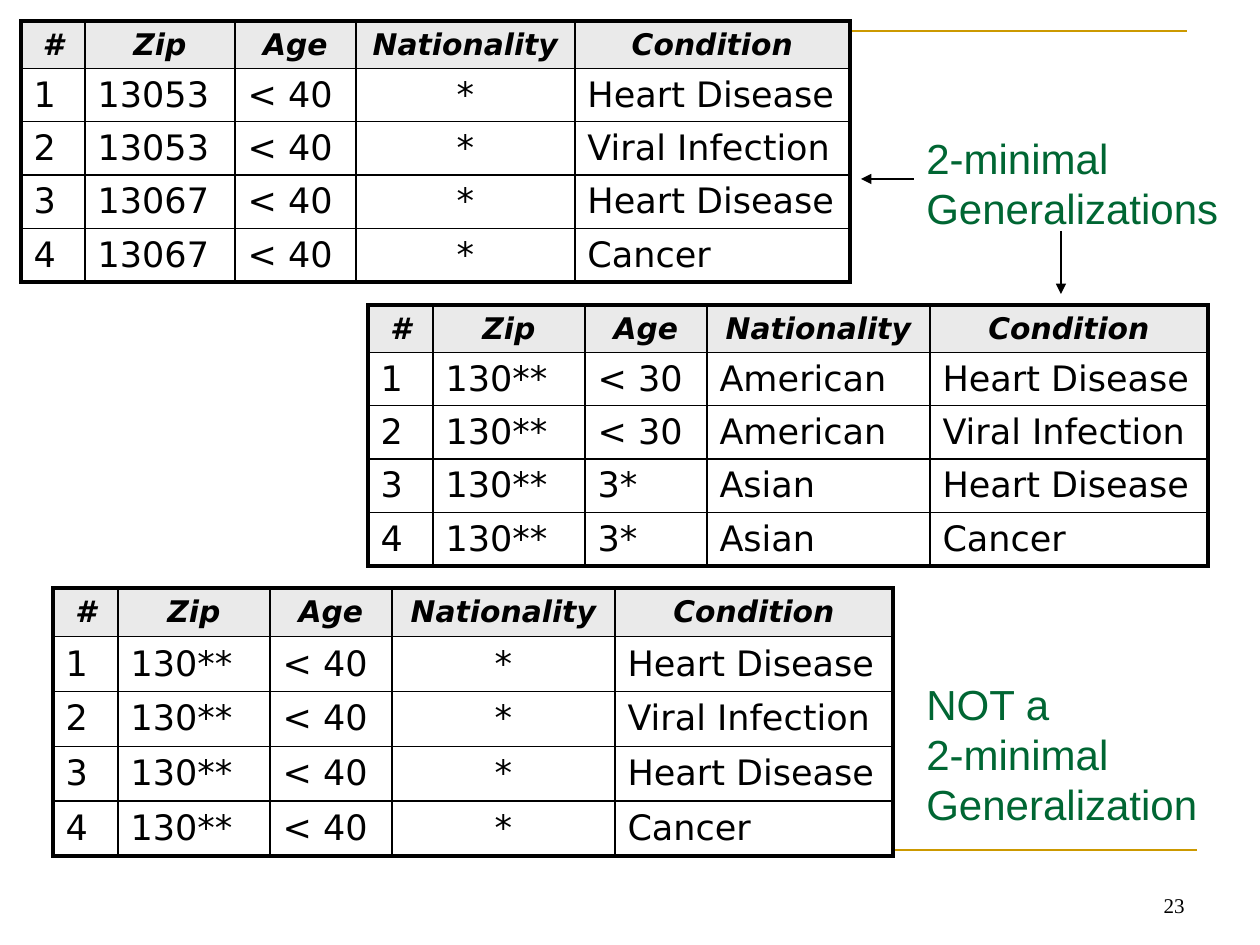
import dataclasses

import pptx
import pptx.dml.color
import pptx.enum.shapes
import pptx.enum.text
import pptx.oxml.ns
import pptx.util
from lxml import etree

PX = 914400 / 126
ALIGN = pptx.enum.text.PP_ALIGN
ANCHOR = pptx.enum.text.MSO_ANCHOR


@dataclasses.dataclass(frozen=True)
class Theme:
    black: str = "000000"
    white: str = "FFFFFF"
    green: str = "006633"
    gold: str = "CC9900"
    grey: str = "EAEAEA"
    table_font: str = "DejaVu Sans"
    label_font: str = "Arial"
    number_font: str = "Times New Roman"
    header_size: int = 17
    body_size: int = 20
    label_size: int = 24
    number_size: int = 12
    rule: float = 1.5
    arrow: float = 0.75
    inner: float = 1
    outer: float = 2.25


def emu(px):
    return pptx.util.Emu(round(px * PX))


def rgb(color):
    return pptx.dml.color.RGBColor.from_string(color)


def sub(parent, tag, **attrs):
    return etree.SubElement(parent, pptx.oxml.ns.qn(tag), attrs)


class SlideBuilder:
    def __init__(self, slide, theme):
        self.s = slide
        self.theme = theme

    def style(self, p, font, size, color, align=ALIGN.LEFT, strong=False):
        p.alignment = align
        p.font.name = font
        p.font.size = pptx.util.Pt(size)
        p.font.color.rgb = rgb(color)
        p.font.bold = p.font.italic = strong

    def stroke(self, sp, color, width):
        sp.line.color.rgb = rgb(color)
        sp.line.width = pptx.util.Pt(width)

    def line(self, x1, y1, x2, y2, color, width, arrow=False):
        sp = self.s.shapes.add_connector(
            pptx.enum.shapes.MSO_CONNECTOR.STRAIGHT, emu(x1), emu(y1), emu(x2), emu(y2))
        self.stroke(sp, color, width)
        if arrow:
            sub(sp.line._get_or_add_ln(), "a:tailEnd", type="triangle")
        sub(sp._element.spPr, "a:effectLst")

    def polyline(self, points, color, width):
        builder = self.s.shapes.build_freeform(*points[0], scale=PX)
        builder.add_line_segments(points[1:], close=False)
        sp = builder.convert_to_shape()
        sp.shadow.inherit = False
        sp.fill.background()
        self.stroke(sp, color, width)

    def text(self, x, y, w, h, lines, font, size, color,
             align=ALIGN.LEFT, anchor=ANCHOR.TOP):
        tf = self.s.shapes.add_textbox(emu(x), emu(y), emu(w), emu(h)).text_frame
        tf.word_wrap = True
        tf.vertical_anchor = anchor
        tf.text = "\n".join(lines)
        for p in tf.paragraphs:
            self.style(p, font, size, color, align)

    def label(self, x, y, w, h, lines):
        t = self.theme
        self.text(x, y, w, h, lines, t.label_font, t.label_size, t.green)

    def borders(self, cell, outer_sides):
        t = self.theme
        tc_pr = cell._tc.get_or_add_tcPr()
        for side, is_outer in outer_sides.items():
            width = pptx.util.Pt(t.outer if is_outer else t.inner)
            ln = sub(tc_pr, f"a:ln{side}", w=str(width))
            sub(sub(ln, "a:solidFill"), "a:srgbClr", val=t.black)

    def table(self, x, y, widths, header_height, row_height, rows):
        t = self.theme
        heights = [header_height] + [row_height] * (len(rows) - 1)
        tbl = self.s.shapes.add_table(
            len(rows), len(widths), emu(x), emu(y),
            emu(sum(widths)), emu(sum(heights))).table
        tbl.first_row = tbl.horz_banding = False
        for col, width in zip(tbl.columns, widths):
            col.width = emu(width)
        for row, height in zip(tbl.rows, heights):
            row.height = emu(height)
        for i, values in enumerate(rows):
            header = i == 0
            for j, value in enumerate(values):
                cell = tbl.cell(i, j)
                self.borders(cell, {"L": j == 0, "R": j == len(widths) - 1,
                                    "T": header, "B": i == len(rows) - 1})
                cell.fill.solid()
                cell.fill.fore_color.rgb = rgb(t.grey if header else t.white)
                cell.vertical_anchor = ANCHOR.MIDDLE
                cell.text = value
                self.style(cell.text_frame.paragraphs[0], t.table_font,
                           t.header_size if header else t.body_size, t.black,
                           ALIGN.CENTER if header or value == "*" else ALIGN.LEFT,
                           header)


HEADER = ["#", "Zip", "Age", "Nationality", "Condition"]
CONDITIONS = ["Heart Disease", "Viral Infection", "Heart Disease", "Cancer"]


def patient_rows(zips, ages, nationalities):
    numbers = [str(n) for n in range(1, len(CONDITIONS) + 1)]
    return [HEADER, *zip(numbers, zips, ages, nationalities, CONDITIONS)]


def main():
    theme = Theme()
    prs = pptx.Presentation()
    prs.slide_width, prs.slide_height = emu(1260), emu(945)
    b = SlideBuilder(prs.slides.add_slide(prs.slide_layouts[6]), theme)
    wide = [65, 152, 122, 223, 278]

    b.polyline([(53, 116), (53, 31), (1187, 31)], theme.gold, theme.rule)
    b.line(63, 850, 1197, 850, theme.gold, theme.rule)

    b.table(21, 21, [64, 150, 121, 219, 275], 47, 53, patient_rows(
        ["13053"] * 2 + ["13067"] * 2, ["< 40"] * 4, ["*"] * 4))
    b.table(368, 305, wide, 47, 53, patient_rows(
        ["130**"] * 4, ["< 30"] * 2 + ["3*"] * 2, ["American"] * 2 + ["Asian"] * 2))
    b.label(914, 126, 318, 113, ["2-minimal", "Generalizations"])
    b.line(1061, 231, 1061, 294, theme.black, theme.arrow, arrow=True)
    b.line(914, 179, 861, 179, theme.black, theme.arrow, arrow=True)

    b.table(53, 588, wide, 48, 55, patient_rows(
        ["130**"] * 4, ["< 40"] * 4, ["*"] * 4))
    b.label(914, 672, 318, 164, ["NOT a", "2-minimal", "Generalization"])
    b.text(903, 861, 294, 63, ["23"], theme.number_font, theme.number_size,
           theme.black, ALIGN.RIGHT, ANCHOR.BOTTOM)
    prs.save("out.pptx")


if __name__ == "__main__":
    main()
